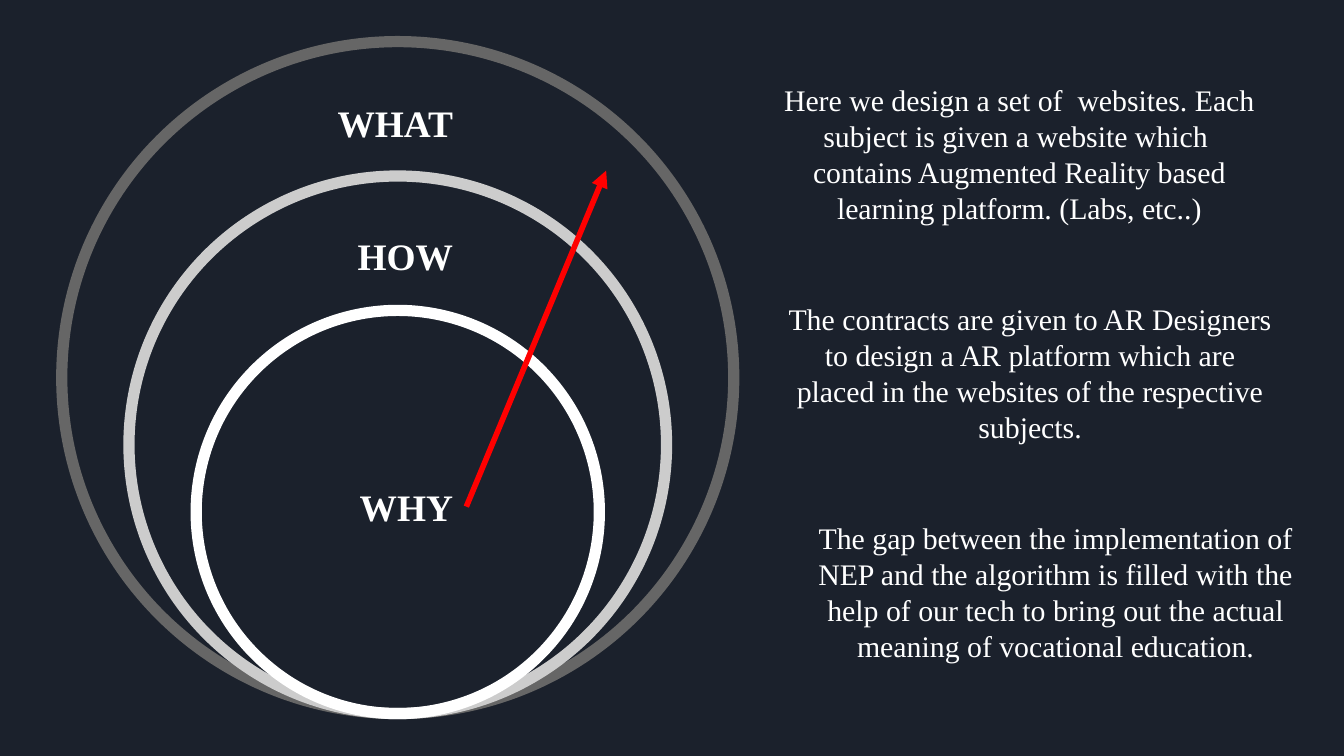
from lxml import etree
from pptx import Presentation
from pptx.dml.color import RGBColor
from pptx.enum.shapes import MSO_CONNECTOR, MSO_SHAPE
from pptx.enum.text import MSO_ANCHOR, PP_ALIGN
from pptx.oxml.ns import qn
from pptx.util import Inches, Pt

OVAL = MSO_SHAPE.OVAL
STRAIGHT = MSO_CONNECTOR.STRAIGHT
TOP, MIDDLE = MSO_ANCHOR.TOP, MSO_ANCHOR.MIDDLE
CENTER, RIGHT = PP_ALIGN.CENTER, PP_ALIGN.RIGHT

NAVY = RGBColor(0x1B, 0x21, 0x2C)
GREY = RGBColor(0x66, 0x66, 0x66)
SILVER = RGBColor(0xCC, 0xCC, 0xCC)
WHITE = RGBColor(0xFF, 0xFF, 0xFF)
RED = RGBColor(0xFF, 0x00, 0x00)

deck = Presentation()
deck.slide_width = Inches(10)
deck.slide_height = Inches(10) * 9 // 16
slide = deck.slides.add_slide(deck.slide_layouts[6])
slide.background.fill.solid()
slide.background.fill.fore_color.rgb = NAVY
shapes = slide.shapes


def add_text(text, left, top, width, height, size, align, anchor, bold=False):
    box = shapes.add_textbox(Inches(left), Inches(top), Inches(width), Inches(height))
    frame = box.text_frame
    frame.word_wrap = True
    frame.vertical_anchor = anchor
    frame.margin_left = frame.margin_right = Inches(0.1)
    frame.margin_top = frame.margin_bottom = Inches(0.1)
    para = frame.paragraphs[0]
    para.text = text
    para.alignment = align
    para.font.name = "Times New Roman"
    para.font.size = Pt(size)
    para.font.bold = bold
    para.font.color.rgb = WHITE
    return box


# Rings share their lowest point
MID_X, BASE = 2.96, 5.31
for size, color in [(5, GREY), (4, SILVER), (3, WHITE)]:
    ring = shapes.add_shape(OVAL, Inches(MID_X - size / 2), Inches(BASE - size),
                            Inches(size), Inches(size))
    ring.shadow.inherit = False
    ring.fill.background()
    ring.line.color.rgb = color
    ring.line.width = Pt(6)

labels = {}
for word, top in [("WHY", 3.5), ("HOW", 1.63), ("WHAT", 0.64)]:
    labels[word] = add_text(word, 0.02, top, 3.45, 0.54, 20, RIGHT, MIDDLE, True)

arrow = shapes.add_connector(STRAIGHT, Inches(3.47), Inches(3.77), Inches(4.51), Inches(1.27))
arrow.begin_connect(labels["WHY"], 3)
arrow.line.color.rgb = RED
arrow.line.width = Pt(3)
props = arrow._element.spPr
etree.SubElement(props.get_or_add_ln(), qn("a:tailEnd"), type="triangle")
etree.SubElement(props, qn("a:effectLst"))

notes = [
    ("The gap between the implementation of NEP and the algorithm is filled with "
     "the help of our tech to bring out the actual meaning of vocational education.",
     5.92, 3.87),
    ("The contracts are given to AR Designers to design a AR platform which are "
     "placed in the websites of the respective subjects.", 5.73, 3.87),
    ("Here we design a set of  websites. Each subject is given a website which  "
     "contains Augmented Reality based learning platform. (Labs, etc..)", 5.73, 3.71),
]
for row, (text, left, width) in enumerate(notes):
    add_text(text, left, 3.77 - 1.63 * row, width, 1.28, 16, CENTER, TOP)

deck.save("out.pptx")
